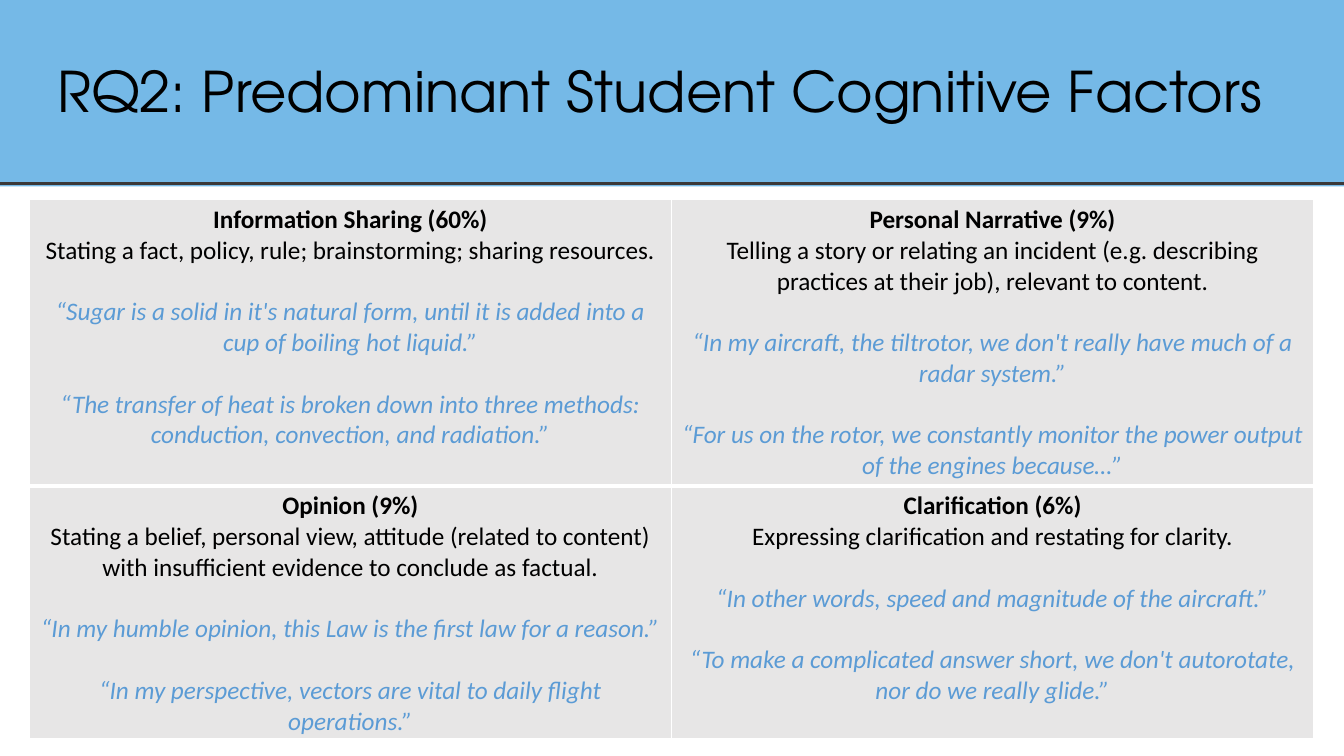
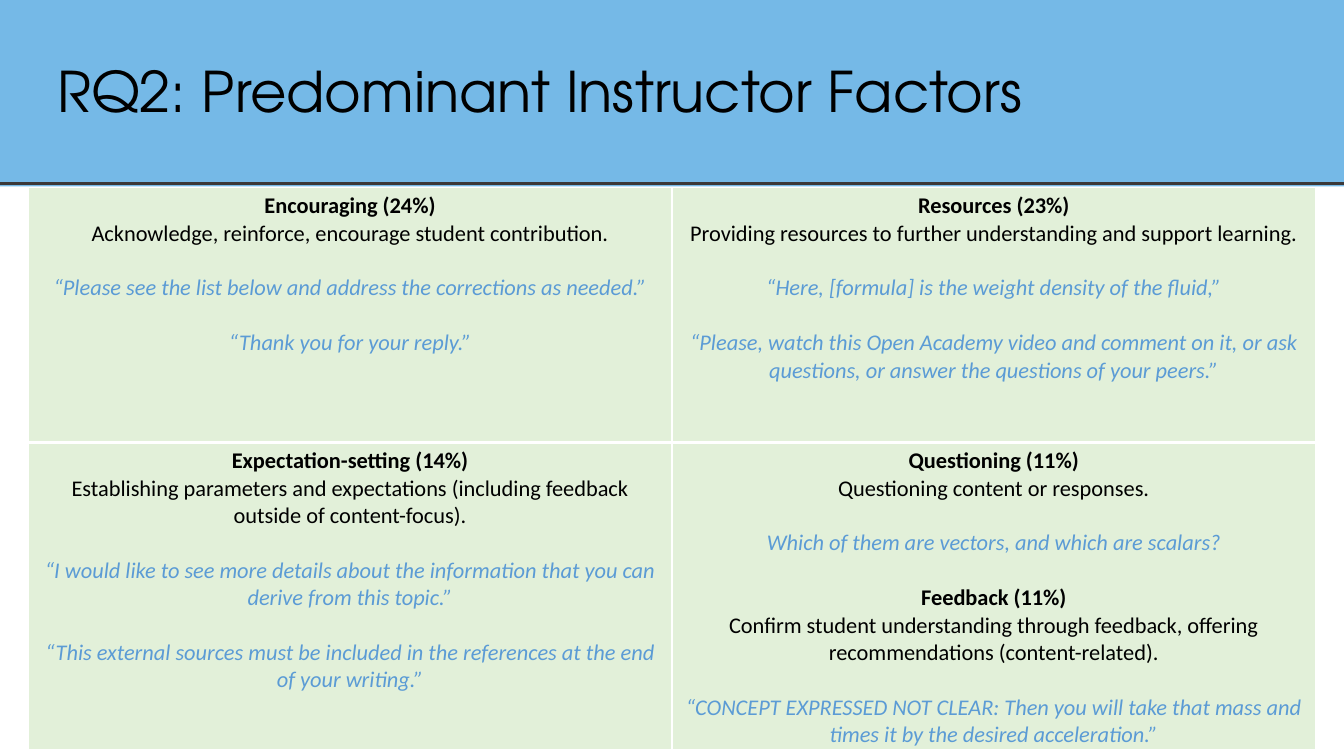
from pptx import Presentation
from pptx.util import Inches, Pt
from pptx.dml.color import RGBColor as RGB
from pptx.enum.shapes import MSO_SHAPE as SHAPE, MSO_CONNECTOR as CONN
from pptx.enum.text import MSO_ANCHOR as ANCHOR, PP_ALIGN as ALIGN
from pptx.oxml.ns import qn
from lxml.etree import SubElement as Sub

HUES = {"band": "75B9E7", "rule": "3B3838", "text": "000000", "quote": "5B9BD5",
        "gray": "E7E6E6", "green": "E2F0D9", "edge": "FFFFFF"}
WIDE = 13.33


def hue(name):
    return RGB.from_string(HUES[name])


def edge(cell, side, size):
    line = Sub(cell._tc.get_or_add_tcPr(), qn("a:ln" + side), w=str(Pt(size)))
    Sub(Sub(line, qn("a:solidFill")), qn("a:srgbClr"), val=HUES["edge"])


pages = [
    {"title": "RQ2: Predominant Student Cognitive Factors",
     "box": (0.29, 1.98, 12.74), "rows": (2.84, 2.46), "fill": "gray", "size": 18, "gap": 22,
     "cells": [
         [("Information Sharing (60%)",
           "Stating a fact, policy, rule; brainstorming; sharing resources.",
           "“Sugar is a solid in it's natural form, until it is added into a cup of boiling hot liquid.”",
           "“The transfer of heat is broken down into three methods: conduction, convection, and radiation.”")],
         [("Personal Narrative (9%)",
           "Telling a story or relating an incident (e.g. describing practices at their job), relevant to content.",
           "“In my aircraft, the tiltrotor, we don't really have much of a radar system.”",
           "“For us on the rotor, we constantly monitor the power output of the engines because…”")],
         [("Opinion (9%)",
           "Stating a belief, personal view, attitude (related to content) with insufficient evidence to conclude as factual.",
           "“In my humble opinion, this Law is the first law for a reason.”",
           "“In my perspective, vectors are vital to daily flight operations.”")],
         [("Clarification (6%)",
           "Expressing clarification and restating for clarity.",
           "“In other words, speed and magnitude of the aircraft.”",
           "“To make a complicated answer short, we don't autorotate, nor do we really glide.”")]]},
    {"title": "RQ2: Predominant Instructor Factors",
     "box": (0.28, 1.86, 12.77), "rows": (2.53, 3.04), "fill": "green", "size": 16, "gap": 19.5,
     "cells": [
         [("Encouraging (24%)",
           "Acknowledge, reinforce, encourage student contribution.",
           "“Please see the list below and address the corrections as needed.”",
           "“Thank you for your reply.”")],
         [("Resources (23%)",
           "Providing resources to further understanding and support learning.",
           "“Here, [formula] is the weight density of the fluid,”",
           "“Please, watch this Open Academy video and comment on it, or ask questions, or answer the questions of your peers.”")],
         [("Expectation-setting (14%)",
           "Establishing parameters and expectations (including feedback outside of content-focus).",
           "“I would like to see more details about the information that you can derive from this topic.”",
           "“This external sources must be included in the references at the end of your writing.”")],
         [("Questioning (11%)",
           "Questioning content or responses.",
           "Which of them are vectors, and which are scalars?"),
          ("Feedback (11%)",
           "Confirm student understanding through feedback, offering recommendations (content-related).",
           "“CONCEPT EXPRESSED NOT CLEAR: Then you will take that mass and times it by the desired acceleration.”")]]},
]

deck = Presentation()
deck.slide_width, deck.slide_height = Inches(WIDE), Inches(7.5)

for page in pages:
    shapes = deck.slides.add_slide(deck.slide_layouts[6]).shapes

    band = shapes.add_shape(SHAPE.RECTANGLE, 0, 0, Inches(WIDE), Inches(1.85))
    band.shadow.inherit = False
    band.fill.solid()
    band.fill.fore_color.rgb = hue("band")
    band.line.fill.background()

    title = shapes.add_textbox(Inches(0.47), Inches(0.21), Inches(12.68), Inches(1.45)).text_frame
    title.word_wrap = True
    title.vertical_anchor = ANCHOR.MIDDLE
    para = title.paragraphs[0]
    para.text = page["title"]
    para.line_spacing = 0.9
    para.font.name, para.font.size = "TeX Gyre Adventor", Pt(40)
    para.font.color.rgb = hue("text")

    rule = shapes.add_connector(CONN.STRAIGHT, 0, Inches(1.82), Inches(WIDE), Inches(1.82))
    rule.line.color.rgb = hue("rule")
    rule.line.width = Pt(2.25)
    Sub(rule._element.spPr, qn("a:effectLst"))

    left, top, width = page["box"]
    grid = shapes.add_table(2, 2, Inches(left), Inches(top), Inches(width),
                            Inches(sum(page["rows"]))).table
    grid.first_row = grid.horz_banding = False
    for row, high in zip(grid.rows, page["rows"]):
        row.height = Inches(high)

    for spot, blocks in enumerate(page["cells"]):
        row, col = divmod(spot, 2)
        cell = grid.cell(row, col)
        for side, size in (("L", 1), ("R", 1), ("T", 3 if row else 1), ("B", 1 if row else 3)):
            edge(cell, side, size)
        cell.fill.solid()
        cell.fill.fore_color.rgb = hue(page["fill"])

        frame = cell.text_frame
        lines = [item for block in blocks for item in enumerate(block)]
        for count, (rank, text) in enumerate(lines):
            para = frame.add_paragraph() if count else frame.paragraphs[0]
            para.text = text
            para.alignment = ALIGN.CENTER
            if count and rank != 1:
                para.space_before = Pt(page["gap"])
            font = para.font
            font.name, font.size = "Calibri", Pt(page["size"])
            font.bold, font.italic = rank == 0, rank > 1
            font.color.rgb = hue("quote" if rank > 1 else "text")

deck.save("out.pptx")
